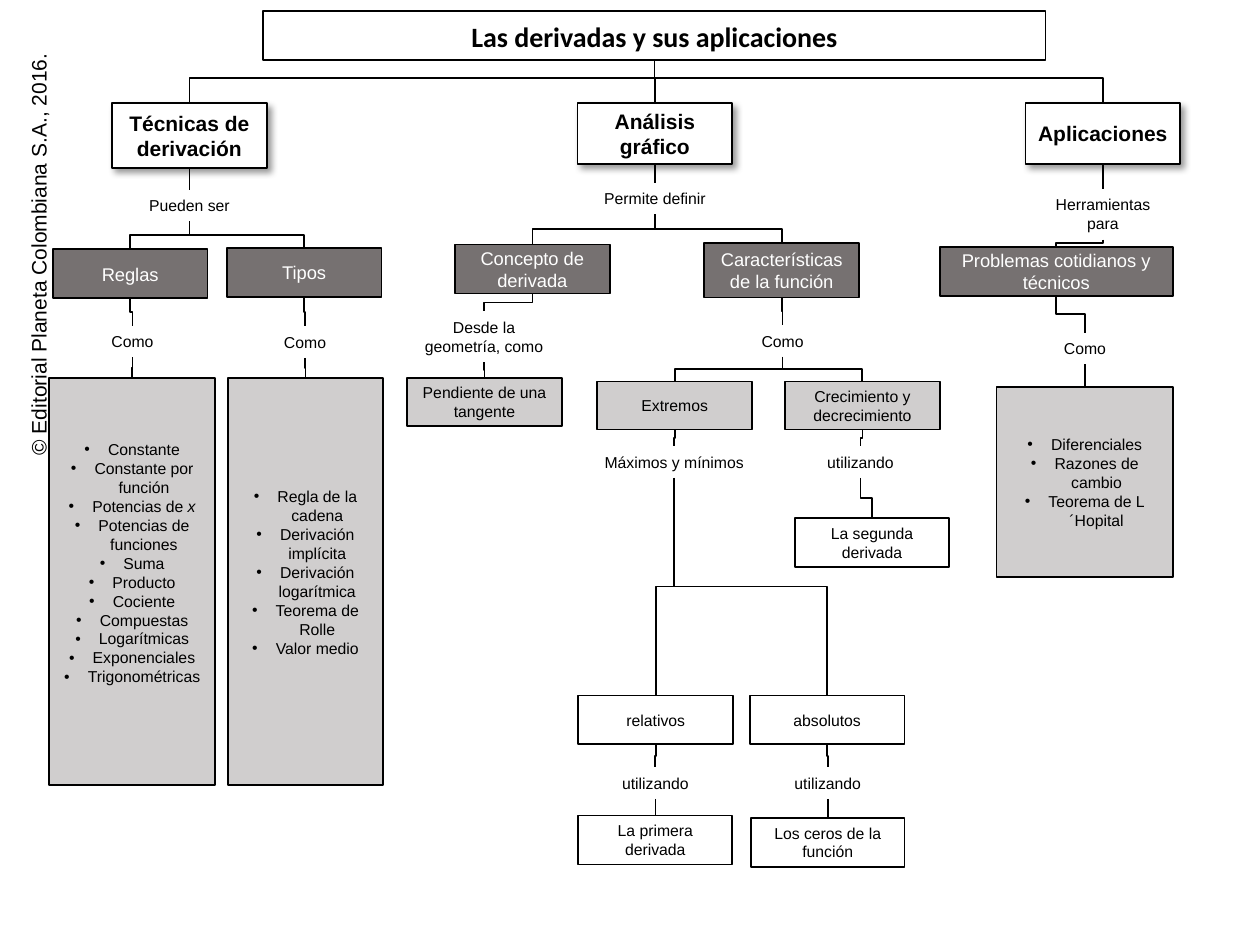
from lxml.etree import SubElement
from pptx import Presentation
from pptx.dml.color import RGBColor
from pptx.enum.shapes import MSO_CONNECTOR, MSO_SHAPE
from pptx.enum.text import MSO_ANCHOR, MSO_AUTO_SIZE, PP_ALIGN
from pptx.oxml.ns import qn
from pptx.util import Pt

COLORS = {"black": "000000", "white": "FFFFFF", "dark": "767171", "light": "D0CECE"}
TITLE = "Las derivadas y sus aplicaciones"
TITLE_FRAME = (150.5, 6.5, 447, 28)
COPYRIGHT = "© Editorial Planeta Colombiana S.A., 2016."
COPYRIGHT_FRAME = (-100.8, 134.6, 245.5, 21.6)
TITLE_BEND = 42000
LIST_LINE = 10.6

STYLES = {
    "branch": {"fill": "white", "size": 12, "bold": True},
    "topic": {"fill": "dark", "size": 10.5, "color": "white"},
    "detail": {"fill": "light", "size": 9},
    "result": {"fill": "white", "size": 9},
    "label": {"fill": None, "size": 9},
}

NODES = {
    "técnicas": ("branch", 64, 59, 88.5, 37, "Técnicas de derivación"),
    "pueden ser": ("label", 64, 108.5, 88.5, 18, "Pueden ser"),
    "reglas": ("topic", 30.2, 142.5, 88.5, 28, "Reglas"),
    "como reglas": ("label", 31.7, 186, 88, 18, "Como"),
    "tipos": ("topic", 129.6, 141.8, 88.5, 28, "Tipos"),
    "como tipos": ("label", 130.3, 186.5, 88, 18, "Como"),
    "análisis": ("branch", 330, 59, 88.5, 34.6, "Análisis gráfico"),
    "permite": ("label", 330, 104.4, 88.5, 18, "Permite definir"),
    "concepto": ("topic", 260, 139.7, 88.5, 28, "Concepto de derivada"),
    "desde": ("label", 232.6, 178, 88, 29, "Desde la geometría, como"),
    "pendiente": ("detail", 232.6, 216, 88.5, 27.4, "Pendiente de una tangente"),
    "características": ("topic", 402.5, 139, 88.5, 31, "Características de la función"),
    "como función": ("label", 403.2, 186, 88, 18, "Como"),
    "extremos": ("detail", 341.3, 218, 88.5, 27.4, "Extremos"),
    "máximos": ("label", 335.5, 255, 99.4, 18, "Máximos y mínimos"),
    "relativos": ("result", 330.5, 397.4, 88.5, 28, "relativos"),
    "usa primera": ("label", 330.5, 438.5, 88, 18, "utilizando"),
    "primera": ("result", 330.5, 466, 88, 28, "La primera derivada"),
    "absolutos": ("result", 428.4, 397.4, 88.5, 28, "absolutos"),
    "usa ceros": ("label", 429, 438.5, 88, 18, "utilizando"),
    "ceros": ("result", 429, 467.3, 88, 28, "Los ceros de la función"),
    "crecimiento": ("detail", 448.6, 218, 88.5, 27.4, "Crecimiento y decrecimiento"),
    "usa segunda": ("label", 442, 255, 99.4, 18, "utilizando"),
    "segunda": ("result", 454.3, 296, 88, 28, "La segunda derivada"),
    "aplicaciones": ("branch", 586, 59, 88.5, 34.6, "Aplicaciones"),
    "herramientas": ("label", 586, 108, 88.5, 29, "Herramientas para"),
    "problemas": ("topic", 537, 141, 133.2, 28, "Problemas cotidianos y técnicos"),
    "como problemas": ("label", 576, 190, 88, 18, "Como"),
}

LISTS = {
    "lista reglas": (28, 216, 95, 232.6, 2, [
        "Constante", "Constante por función", "Potencias de _x_", "Potencias de funciones",
        "Suma", "Producto", "Cociente", "Compuestas", "Logarítmicas", "Exponenciales",
        "Trigonométricas"]),
    "lista tipos": (130.3, 216, 88.5, 232.6, 1, [
        "Regla de la cadena", "Derivación implícita", "Derivación logarítmica",
        "Teorema de Rolle", "Valor medio"]),
    "lista problemas": (569.5, 221, 100.8, 108.7, 0, [
        "Diferenciales", "Razones de cambio", "Teorema de L´Hopital"]),
}

CHAINS = [
    ("título", "técnicas", "pueden ser", "reglas", "como reglas", "lista reglas"),
    ("pueden ser", "tipos", "como tipos", "lista tipos"),
    ("título", "análisis", "permite", "concepto", "desde", "pendiente"),
    ("permite", "características", "como función", "extremos", "máximos",
     "relativos", "usa primera", "primera"),
    ("máximos", "absolutos", "usa ceros", "ceros"),
    ("como función", "crecimiento", "usa segunda", "segunda"),
    ("título", "aplicaciones", "herramientas", "problemas", "como problemas",
     "lista problemas"),
]


def rgb(name):
    return RGBColor.from_string(COLORS[name])


def place(shape, frame):
    shape.left, shape.top, shape.width, shape.height = map(Pt, frame)


def outline(shape, fill):
    shape.fill.solid()
    shape.fill.fore_color.rgb = rgb(fill)
    shape.line.color.rgb = rgb("black")
    shape.line.width = Pt(1)


def style_text(paragraph, size, color="black", bold=False, name="Arial"):
    paragraph.alignment = PP_ALIGN.CENTER
    font = paragraph.font
    font.name, font.size, font.bold = name, Pt(size), bold
    font.color.rgb = rgb(color)


def add_shadow(shape):
    effects = shape._element.spPr.find(qn("a:effectLst"))
    shadow = SubElement(effects, qn("a:outerShdw"), blurRad=str(Pt(4)), dist=str(Pt(3)),
                        dir="2700000", algn="tl", rotWithShape="0")
    color = SubElement(shadow, qn("a:srgbClr"), val=COLORS["black"])
    SubElement(color, qn("a:alpha"), val="40000")


def add_box(slide, frame, fill):
    shape = slide.shapes.add_shape(MSO_SHAPE.RECTANGLE, *map(Pt, frame))
    shape.shadow.inherit = False
    outline(shape, fill)
    shape.text_frame.vertical_anchor = MSO_ANCHOR.MIDDLE
    return shape


def add_label(slide, frame, wrap=True):
    shape = slide.shapes.add_textbox(*map(Pt, frame))
    shape.text_frame.word_wrap = wrap
    shape.text_frame.auto_size = MSO_AUTO_SIZE.SHAPE_TO_FIT_TEXT
    return shape


def add_node(slide, kind, frame, text):
    style = dict(STYLES[kind])
    fill = style.pop("fill")
    shape = add_box(slide, frame, fill) if fill else add_label(slide, frame)
    if kind == "branch":
        add_shadow(shape)
    shape.text_frame.text = text
    style_text(shape.text_frame.paragraphs[0], **style)


def add_list(slide, frame, lift, items):
    text_frame = add_box(slide, frame, "light").text_frame
    text_frame.margin_bottom = Pt(3.6 + lift * LIST_LINE)
    for index, item in enumerate(items):
        paragraph = text_frame.add_paragraph() if index else text_frame.paragraphs[0]
        properties = paragraph._p.get_or_add_pPr()
        properties.set("marL", str(Pt(13.5)))
        properties.set("indent", str(Pt(-13.5)))
        SubElement(properties, qn("a:buFont"), typeface="Arial")
        SubElement(properties, qn("a:buChar"), char="•")
        style_text(paragraph, STYLES["detail"]["size"])
        for part, words in enumerate(item.split("_")):
            if words:
                run = paragraph.add_run()
                run.text = words
                if part % 2:
                    run.font.italic = True


def add_link(slide, parent, child, bend=50000):
    x1, y1 = parent[0] + parent[2] / 2, parent[1] + parent[3]
    x2, y2 = child[0] + child[2] / 2, child[1]
    middle_x, middle_y = (x1 + x2) / 2, (y1 + y2) / 2
    half_drop, half_shift = (y2 - y1) / 2, (x2 - x1) / 2
    connector = slide.shapes.add_connector(
        MSO_CONNECTOR.ELBOW, Pt(middle_x - half_drop), Pt(middle_y + half_shift),
        Pt(middle_x + half_drop), Pt(middle_y - half_shift))
    connector.line.color.rgb = rgb("black")
    connector.line.width = Pt(1)
    properties = connector._element.spPr
    properties.find(qn("a:xfrm")).set("rot", "5400000")
    adjustments = properties.find(qn("a:prstGeom")).find(qn("a:avLst"))
    SubElement(adjustments, qn("a:gd"), name="adj1", fmla=f"val {bend}")
    SubElement(properties, qn("a:effectLst"))


def main():
    presentation = Presentation()
    presentation.slide_width, presentation.slide_height = Pt(720), Pt(540)
    slide = presentation.slides.add_slide(presentation.slide_layouts[5])

    title = slide.shapes.title
    place(title, TITLE_FRAME)
    outline(title, "white")
    title.text_frame.text = TITLE
    title.text_frame.auto_size = MSO_AUTO_SIZE.NONE
    title.text_frame.vertical_anchor = MSO_ANCHOR.MIDDLE
    style_text(title.text_frame.paragraphs[0], 16, bold=True, name="Calibri")

    notice = add_label(slide, COPYRIGHT_FRAME, wrap=False)
    notice.rotation = 270
    notice.text_frame.text = COPYRIGHT
    style_text(notice.text_frame.paragraphs[0], 12)

    frames = {"título": TITLE_FRAME}
    for name, (kind, *frame, text) in NODES.items():
        frames[name] = frame
        add_node(slide, kind, frame, text)
    for name, (*frame, lift, items) in LISTS.items():
        frames[name] = frame
        add_list(slide, frame, lift, items)

    for chain in CHAINS:
        for parent, child in zip(chain, chain[1:]):
            bend = TITLE_BEND if parent == "título" else 50000
            add_link(slide, frames[parent], frames[child], bend)

    presentation.save("out.pptx")


if __name__ == "__main__":
    main()
